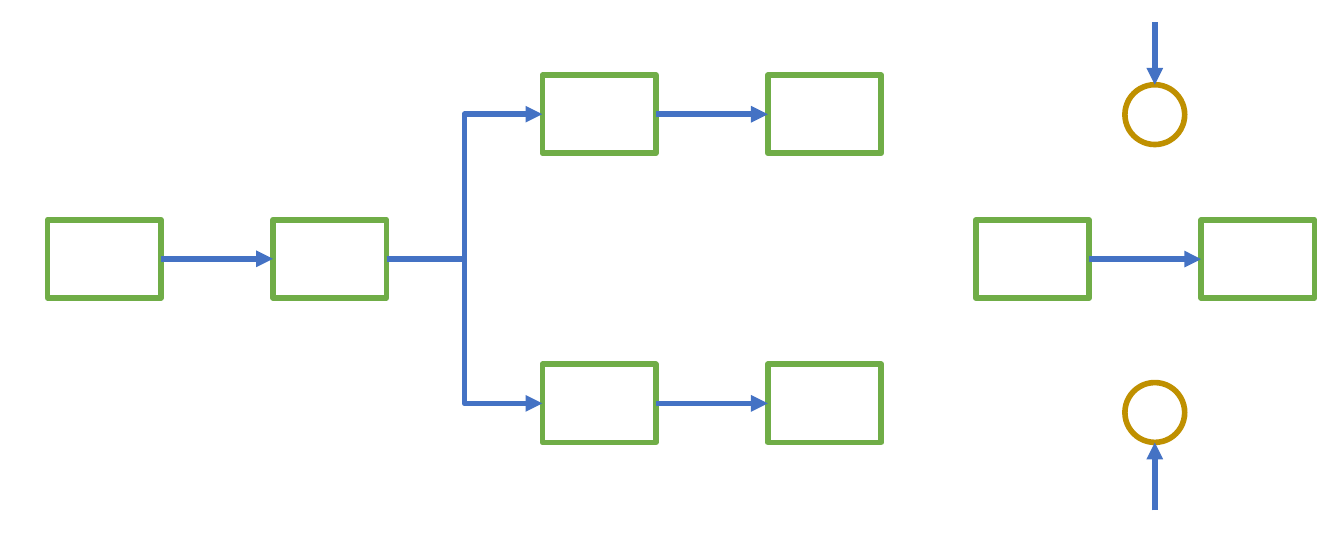
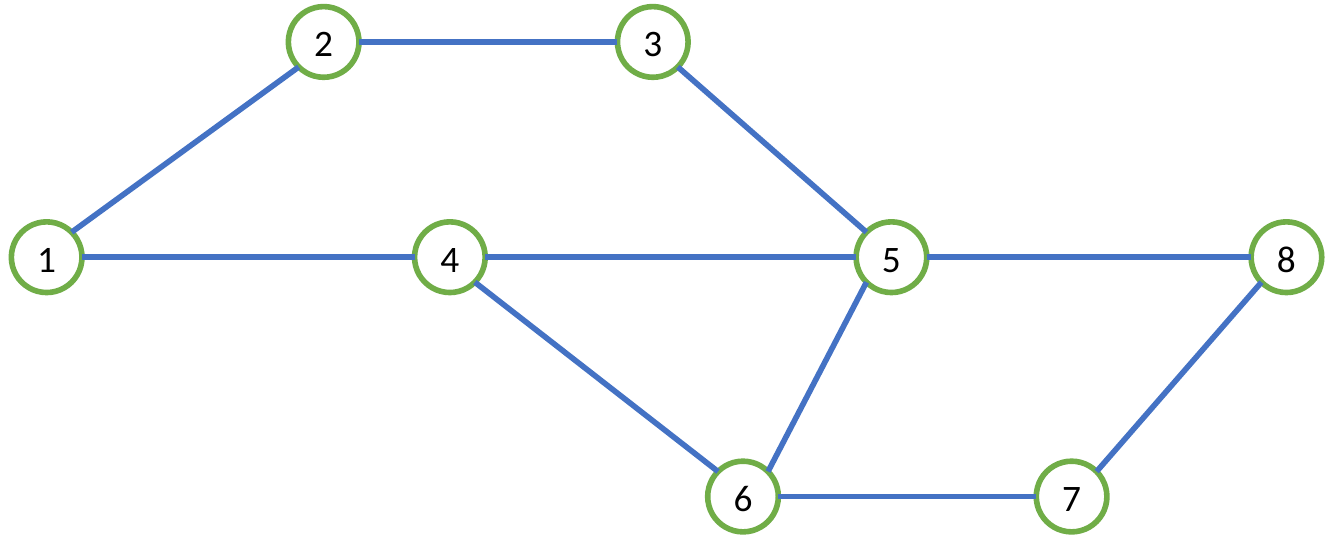
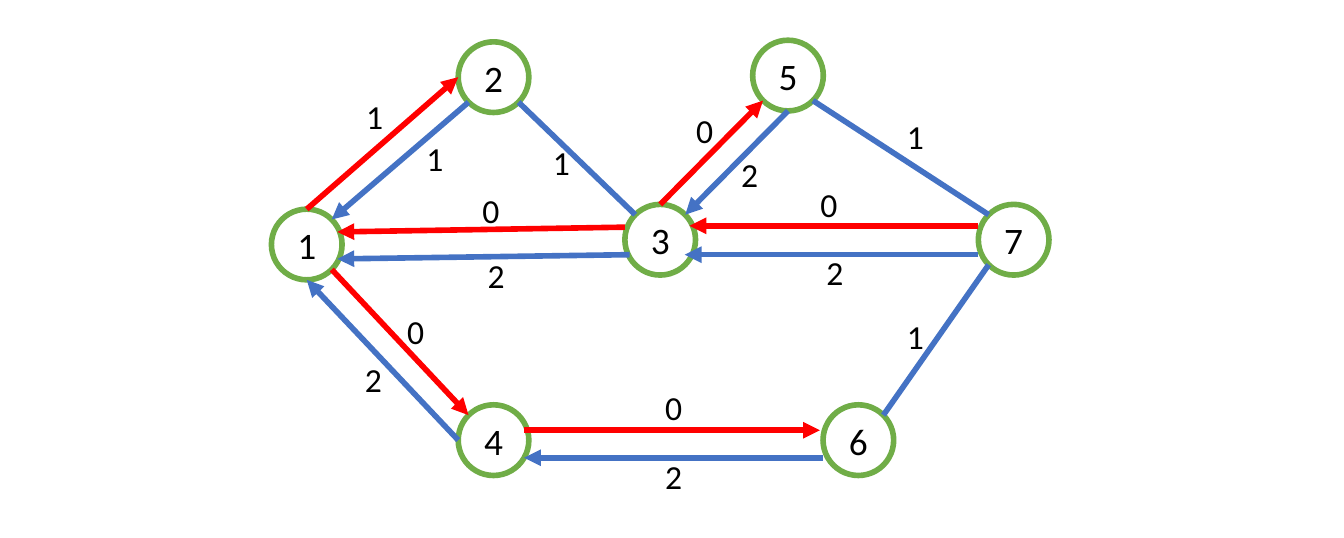
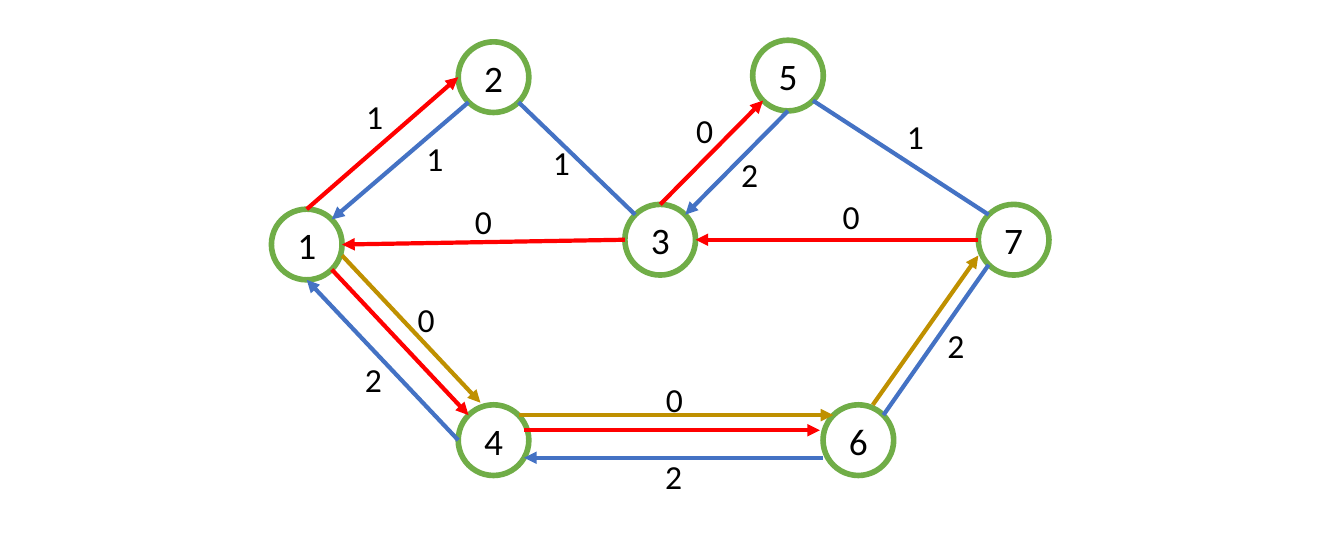
from lxml.etree import SubElement
from pptx import Presentation
from pptx.dml.color import RGBColor
from pptx.enum.shapes import MSO_CONNECTOR, MSO_SHAPE
from pptx.enum.text import MSO_ANCHOR, MSO_AUTO_SIZE, PP_ALIGN
from pptx.oxml.ns import qn
from pptx.util import Cm, Pt

# Shared look
WHITE = RGBColor(0xFF, 0xFF, 0xFF)
BLACK = RGBColor(0x00, 0x00, 0x00)
GREEN = RGBColor(0x70, 0xAD, 0x47)
BLUE = RGBColor(0x44, 0x72, 0xC4)
RED = RGBColor(0xFF, 0x00, 0x00)
GOLD = RGBColor(0xBF, 0x90, 0x00)
FONT = "Calibri"
OUTLINE = 6

# Sizes in cm
BOX_W, BOX_H, BOX_STEP = 4.29, 2.95, 8.52
CIRCLE = 2.26
NODE = 2.67
LABEL_W, LABEL_H = 1.17, 1.8

# Connection sites of a rectangle
TOP, LEFT, BOTTOM, RIGHT = range(4)

# Compass points on a node, as fractions of its diameter
NEAR, FAR = 0.146, 0.854
SITES = {"N": (0.5, 0), "NE": (FAR, NEAR), "E": (1, 0.5), "SE": (FAR, FAR),
         "S": (0.5, 1), "SW": (NEAR, FAR), "W": (0, 0.5), "NW": (NEAR, NEAR)}


def set_text(sp, text, size=36, align=PP_ALIGN.LEFT, anchor=MSO_ANCHOR.TOP, color=BLACK):
    tf = sp.text_frame
    tf.vertical_anchor = anchor
    p = tf.paragraphs[0]
    p.alignment = align
    r = p.add_run()
    r.text = text
    r.font.name, r.font.size, r.font.color.rgb = FONT, Pt(size), color


def add_outline(s, kind, left, top, width, height, color=GREEN):
    sp = s.shapes.add_shape(kind, Cm(left), Cm(top), Cm(width), Cm(height))
    sp.shadow.inherit = False
    sp.fill.solid()
    sp.fill.fore_color.rgb = WHITE
    sp.line.color.rgb = color
    sp.line.width = Pt(OUTLINE)
    return sp


def add_line(s, start, end, color=BLUE, width=OUTLINE, arrow=True, kind=MSO_CONNECTOR.STRAIGHT):
    line = s.shapes.add_connector(kind, *(Cm(v) for v in (*start, *end)))
    line.line.color.rgb = color
    line.line.width = Pt(width)
    sp_pr = line._element.spPr
    if arrow:
        SubElement(sp_pr.find(qn("a:ln")), qn("a:tailEnd"), type="triangle")
    SubElement(sp_pr, qn("a:effectLst"))
    return line


def add_link(s, source, target, kind=MSO_CONNECTOR.STRAIGHT):
    """Arrow glued from the right side of one box to the left side of another."""
    start = (source.left + source.width).cm if hasattr(source.left + source.width, "cm") else \
        Cm(0).cm + (source.left + source.width) / Cm(1)
    line = add_line(s, (start, (source.top + source.height / 2) / Cm(1)),
                    (target.left / Cm(1), (target.top + target.height / 2) / Cm(1)), kind=kind)
    line.begin_connect(source, RIGHT)
    line.end_connect(target, LEFT)


def add_pair(s, left, top):
    """Two boxes joined by an arrow."""
    first, second = (add_outline(s, MSO_SHAPE.RECTANGLE, left + i * BOX_STEP, top, BOX_W, BOX_H)
                     for i in range(2))
    add_link(s, first, second)
    return first, second


def add_branching(s, left, top, row_step=5.46, branch_dx=18.7):
    """A pair of boxes that splits into an upper and a lower pair."""
    stem = add_pair(s, left, top + row_step)[1]
    for row in (0, 2):
        branch = add_pair(s, left + branch_dx, top + row * row_step)[0]
        add_link(s, stem, branch, MSO_CONNECTOR.ELBOW)


def add_inputs(s, left, top):
    """A pair of boxes between two circles with incoming arrows."""
    add_pair(s, left, top + 7.47)
    circle_left = left + 5.64
    middle = circle_left + CIRCLE / 2
    for circle_top, tail, head in ((2.36, 0, 2.36), (13.61, 18.44, 13.61 + CIRCLE)):
        add_outline(s, MSO_SHAPE.OVAL, circle_left, top + circle_top, CIRCLE, CIRCLE, GOLD)
        add_line(s, (middle, top + tail), (middle, top + head))


def add_label(s, text, left, top):
    sp = s.shapes.add_textbox(Cm(left), Cm(top), Cm(LABEL_W), Cm(LABEL_H))
    sp.text_frame.word_wrap = False
    sp.text_frame.auto_size = MSO_AUTO_SIZE.SHAPE_TO_FIT_TEXT
    set_text(sp, text)


def add_graph(s, left, top, nodes, edges, labels=(), width=OUTLINE):
    """Edge ends are a node with a compass point ("1NE") or a place in the box."""
    def locate(end):
        if isinstance(end, str):
            (x, y), (fx, fy) = nodes[end[0]], SITES[end[1:]]
            end = x + fx * NODE, y + fy * NODE
        return left + end[0], top + end[1]

    for name, (x, y) in nodes.items():
        sp = add_outline(s, MSO_SHAPE.OVAL, left + x, top + y, NODE, NODE)
        set_text(sp, name, size=40, align=PP_ALIGN.CENTER, anchor=MSO_ANCHOR.MIDDLE)
    for start, end, color, arrow in edges:
        add_line(s, locate(start), locate(end), color, width, arrow)
    for text, x, y in labels:
        add_label(s, text, left + x, top + y)


def plain(*pairs):
    return [(*pair.split(), BLUE, False) for pair in pairs]


def arrows(color, *pairs):
    return [(start, end, color, True) for start, end in pairs]


# Network of eight nodes
NETWORK = {"1": (0, 8.13), "4": (15.24, 8.13), "5": (31.93, 8.13), "8": (46.86, 8.13),
           "2": (10.47, 0), "3": (22.91, 0), "6": (26.32, 17.17), "7": (38.74, 17.17)}
NETWORK_EDGES = plain("1NE 2SW", "2E 3W", "1E 4W", "4E 5W", "5E 8W",
                      "3SE 5NW", "4SE 6NW", "6E 7W", "7NE 8SW", "6NE 5SW")

# Flow graph of seven nodes, and what both its steps share
FLOW = {"2": (7.06, 0.06), "7": (26.72, 6.2), "3": (13.36, 6.2), "4": (7.06, 13.77),
        "5": (18.19, 0), "1": (0, 6.38), "6": (20.85, 13.77)}
FLOW_EDGES = (
    arrows(RED, ("1N", "2W"), ("1SE", "4NW"), ("3N", "5SW"), ((9.55, 14.73), (20.73, 14.73)))
    + arrows(BLUE, ("2SW", "1NE"), ("4W", "1S"), ("5S", "3NE"), ((20.85, 15.77), (9.55, 15.77)))
    + plain("2SE 3NW", "5SE 7NW", "6NE 7SW"))
FLOW_LABELS = [("1", 3.33, 1.98), ("1", 5.61, 3.56), ("1", 10.39, 3.73), ("1", 23.77, 2.74),
               ("2", 3.28, 11.91), ("2", 14.63, 15.57), ("0", 15.8, 2.49), ("2", 17.5, 4.17)]

# First step: flow back from 7 to 1
BACK_EDGES = (
    arrows(RED, ((26.72, 7.01), (15.8, 7.01)), ((13.36, 7.06), (2.49, 7.24)))
    + arrows(BLUE, ((13.54, 8.1), (2.49, 8.26)), ((26.72, 8.1), (15.62, 8.1))))
BACK_LABELS = [("0", 7.72, 5.54), ("2", 7.92, 8), ("0", 4.88, 10.11), ("0", 14.63, 12.98),
               ("1", 23.77, 10.29), ("0", 20.5, 5.31), ("2", 20.73, 7.87)]

# Second step: new route from 1 to 7
ROUTE_EDGES = (
    arrows(RED, ("7W", "3E"), ("3W", "1E"))
    + arrows(GOLD, ((2.67, 8.13), (7.9, 13.69)), ("4NE", "6NW"), ((22.73, 13.77), (26.72, 8.13))))
ROUTE_LABELS = [("0", 7.44, 5.94), ("0", 5.28, 9.63), ("0", 14.66, 12.65),
                ("2", 25.3, 10.64), ("0", 21.34, 5.74)]

prs = Presentation()
prs.slide_width, prs.slide_height = Cm(50.8), Cm(20.32)
blank = prs.slide_layouts[6]

# Slide 1: box diagrams
s = prs.slides.add_slide(blank)
add_branching(s, 1.8, 2.84)
add_inputs(s, 36.88, 0.84)

# Slide 2: network
add_graph(prs.slides.add_slide(blank), 0.43, 0.25, NETWORK, NETWORK_EDGES)

# Slides 3 and 4: flow graph
for edges, labels, width in ((BACK_EDGES, BACK_LABELS, 6), (ROUTE_EDGES, ROUTE_LABELS, 4.5)):
    add_graph(prs.slides.add_slide(blank), 10.26, 1.52, FLOW,
              FLOW_EDGES + edges, FLOW_LABELS + labels, width)

prs.save("out.pptx")
